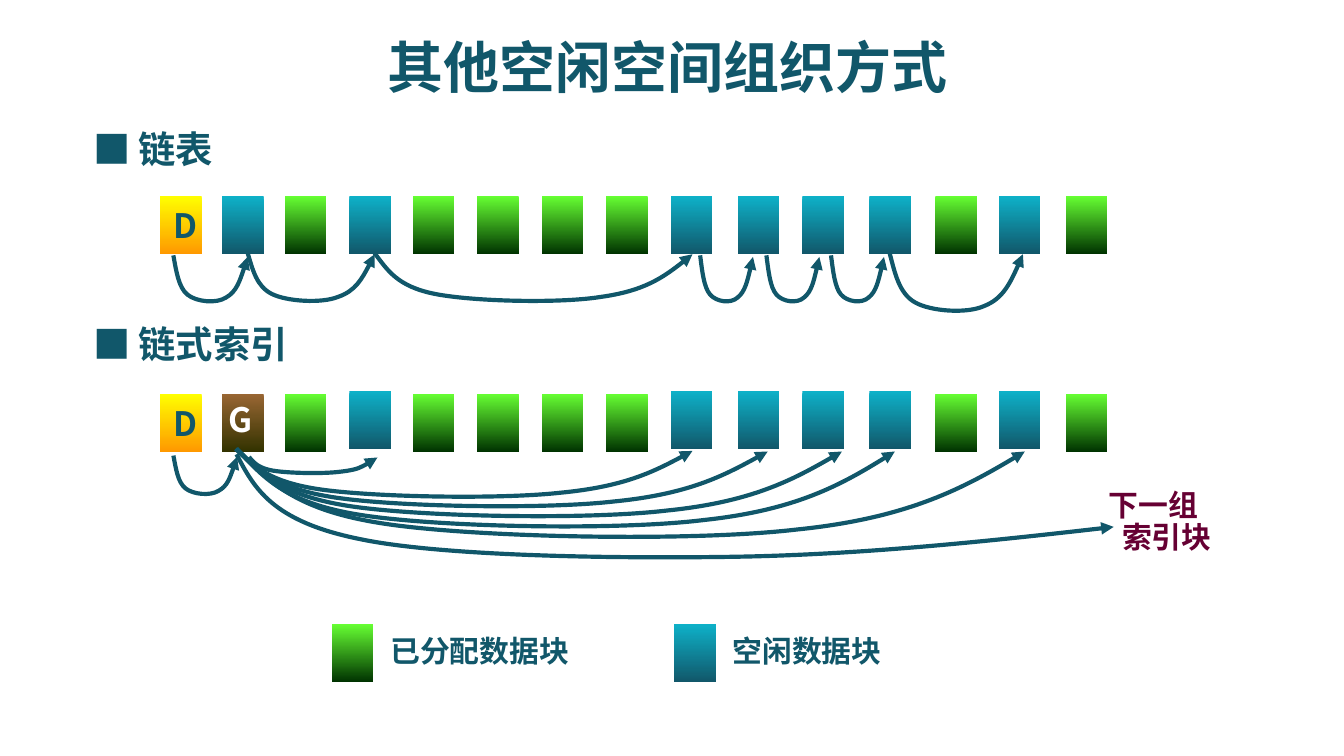
import pptx
import pptx.util
import pptx.dml.color
import pptx.enum.shapes
import pptx.enum.text
import pptx.oxml
import pptx.oxml.ns
from dataclasses import dataclass

Pt = pptx.util.Pt
qn = pptx.oxml.ns.qn
RGB = pptx.dml.color.RGBColor.from_string
ALIGN = pptx.enum.text.PP_ALIGN


@dataclass(frozen=True)
class Theme:
    ink: str = "11576A"
    light: str = "FFFFFF"
    accent: str = "660033"
    font: str = "Noto Sans CJK SC"
    bullet_font: str = "Noto Sans CJK JP"
    title: int = 30
    heading: int = 20
    block: int = 18
    note: int = 16
    line: float = 2.25


T = Theme()
GRADIENTS = {
    "D": ("FFFF00", "FF9900"),
    "G": ("996633", "333300"),
    "free": ("0EB1C8", "11576A"),
    "used": ("66FF33", "003300"),
}
BLOCK_W, BLOCK_H = 22.3, 31
LEFTS = [85.7, 119, 152.6, 187.2, 221, 255.6, 290.2, 324.7,
         359.3, 395.3, 429.8, 465.8, 501.1, 535, 571]
FREE = {1, 3, 8, 9, 10, 11, 13}

TITLE = ("其他空闲空间组织方式", 33.84, 18, 648, 40.3)
SECTIONS = [
    {"name": "链表", "heading_top": 67, "used_top": 105.1, "free_top": 105.1, "special": {0: "D"}},
    {"name": "链式索引", "heading_top": 171.4, "used_top": 211, "free_top": 209.7,
     "special": {0: "D", 1: "G"}},
]
LEGEND = [("used", 177.8, "已分配数据块"), ("free", 361.2, "空闲数据块")]
LEGEND_TOP = 334.4

SAG = [(0, 0), (0.04, 0.33), (0.07, 0.66), (0.19, 0.81), (0.31, 0.96),
       (0.58, 1), (0.71, 0.87), (0.85, 0.75), (0.93, 0.39)]
SWEEP = [(0, 0), (0.02, 0.32), (0.04, 0.64), (0.14, 0.81), (0.23, 0.97),
         (0.42, 1), (0.57, 0.98), (0.71, 0.96), (0.86, 0.83)]
LIST_LINKS = [
    (92.9, 136.8, 132.7, 137.7, 26),
    (132.7, 135.6, 200.7, 136.2, 27),
    (200.7, 135.6, 371, 136.2, 27),
    (375.1, 136.8, 403.4, 137.7, 26),
    (410.6, 136.8, 439, 137.7, 26),
    (445.2, 136.8, 473.6, 137.7, 26),
    (476.6, 135.6, 548, 136.2, 32.6),
]
INDEX_LINKS = [
    (133.4, 244.9, 202.2, 245.1, 9),
    (92.9, 244.1, 127, 244.8, 21.7),
    (126.2, 240.5, 371, 241.6, 27),
    (126.7, 240.5, 411.3, 241.9, 32.4),
    (126.7, 240.5, 451, 241.9, 38),
    (126.7, 240.5, 479.4, 241.9, 43.8),
    (126.7, 240.5, 549, 241.9, 49.7),
]
NEXT_GROUP_LINK = (126.7, 243.4, 596.6, 282.3, 56)


def write(s, text, size, color, font=T.font, align=ALIGN.LEFT, spacing=0.9):
    tf = s.text_frame
    tf.word_wrap = True
    p = tf.paragraphs[0]
    p.alignment = align
    p.line_spacing = spacing
    r = p.add_run()
    r.text = text
    r.font.size = Pt(size)
    r.font.bold = True
    r.font.name = font
    r.font.color.rgb = RGB(color)
    ea = pptx.oxml.parse_xml(f'<a:ea {pptx.oxml.ns.nsdecls("a")} typeface="{font}"/>')
    r.font._element.find(qn("a:latin")).addnext(ea)
    return p


def label(sp, text, x, y, w, h, size, color=T.ink, **options):
    s = sp.add_textbox(Pt(x), Pt(y), Pt(w), Pt(h))
    return write(s, text, size, color, **options)


def block(sp, kind, x, y):
    s = sp.add_shape(pptx.enum.shapes.MSO_SHAPE.RECTANGLE, Pt(x), Pt(y), Pt(BLOCK_W), Pt(BLOCK_H))
    s.shadow.inherit = False
    s.line.fill.background()
    s.fill.gradient()
    s.fill.gradient_angle = 270
    for stop, color, position in zip(s.fill.gradient_stops, GRADIENTS[kind], (0, 1)):
        stop.color.rgb = RGB(color)
        stop.position = position
    if kind == "D":
        s.text_frame.vertical_anchor = pptx.enum.text.MSO_ANCHOR.MIDDLE
        write(s, kind, T.block, T.ink, align=ALIGN.CENTER, spacing=1)
    elif kind == "G":
        label(sp, kind, x - 3.6, y + 1.4, 28.8, 28, T.block, T.light)


def link(sp, x0, y0, x1, y1, depth, profile=SAG):
    points = [(Pt(x0 + u * (x1 - x0)), Pt(y0 + v * depth)) for u, v in profile]
    points.append((Pt(x1), Pt(y1)))
    builder = sp.build_freeform(*points[0], scale=1.0)
    builder.add_line_segments(points[1:], close=False)
    s = builder.convert_to_shape()
    s.shadow.inherit = False
    s.fill.background()
    s.line.color.rgb = RGB(T.ink)
    s.line.width = Pt(T.line)
    segments = list(s.element.iter(qn("a:lnTo")))
    for i in range(0, len(segments), 3):
        curve = segments[i]
        curve.tag = qn("a:cubicBezTo")
        for segment in segments[i + 1:i + 3]:
            curve.append(segment[0])
            segment.getparent().remove(segment)
    ln = s.element.spPr.find(qn("a:ln"))
    ln.append(pptx.oxml.parse_xml(f'<a:tailEnd {pptx.oxml.ns.nsdecls("a")} type="triangle"/>'))


def main():
    prs = pptx.Presentation()
    prs.slide_width, prs.slide_height = Pt(720), Pt(405)
    sp = prs.slides.add_slide(prs.slide_layouts[6]).shapes

    label(sp, *TITLE, T.title, align=ALIGN.CENTER)
    for section in SECTIONS:
        top = section["heading_top"]
        label(sp, section["name"], 67, top, 112.3, 33.8, T.heading)
        label(sp, "■", 43.2, top, 33.8, 31.7, T.heading, font=T.bullet_font)
        for i, x in enumerate(LEFTS):
            kind = section["special"].get(i, "free" if i in FREE else "used")
            block(sp, kind, x, section["free_top" if kind == "free" else "used_top"])

    for ends in LIST_LINKS + INDEX_LINKS:
        link(sp, *ends)
    link(sp, *NEXT_GROUP_LINK, profile=SWEEP)

    p = label(sp, "下一组索引块", 572.4, 259.2, 87.8, 73.4, T.note, T.accent)
    pPr = p._p.get_or_add_pPr()
    pPr.set("marL", str(Pt(21.6)))
    pPr.set("indent", str(Pt(-7.2)))

    for kind, x, text in LEGEND:
        block(sp, kind, x, LEGEND_TOP)
        label(sp, text, x + 24.2, LEGEND_TOP + 3.3, 145, 33.8, T.note)
    prs.save("out.pptx")


if __name__ == "__main__":
    main()
